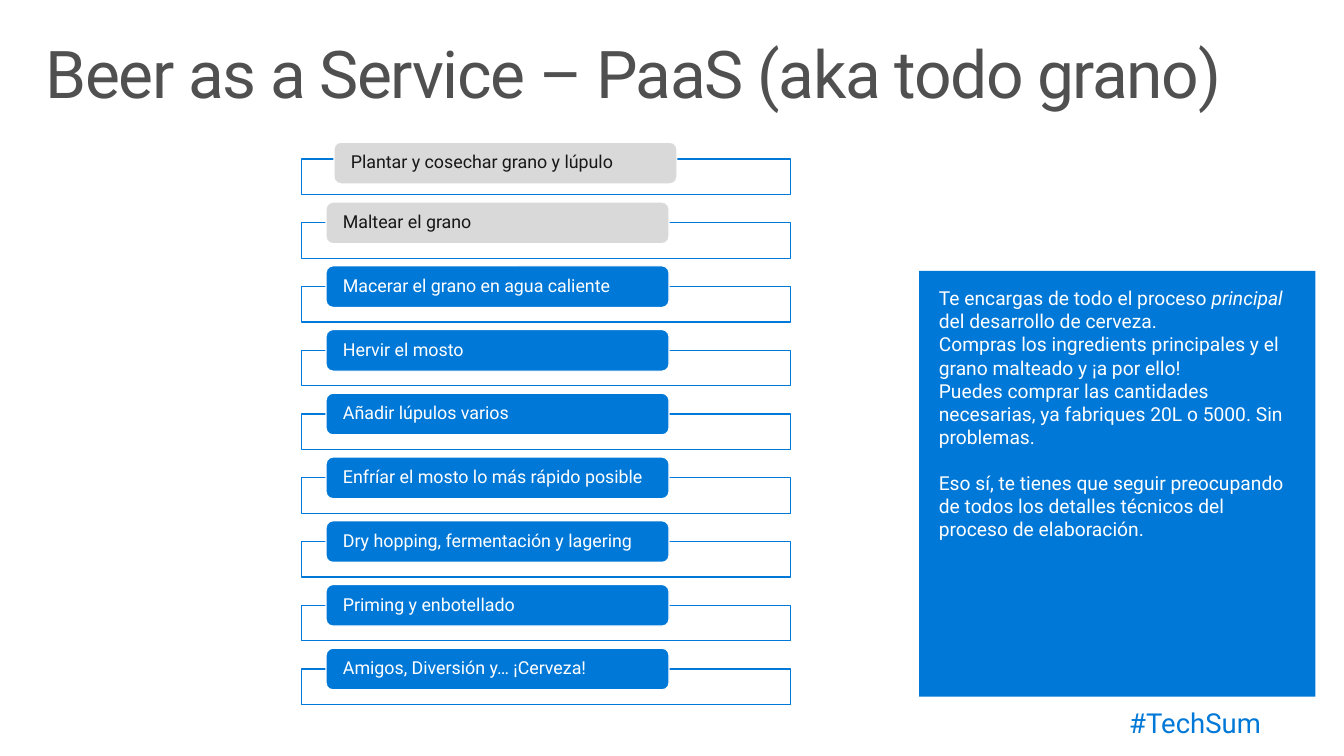
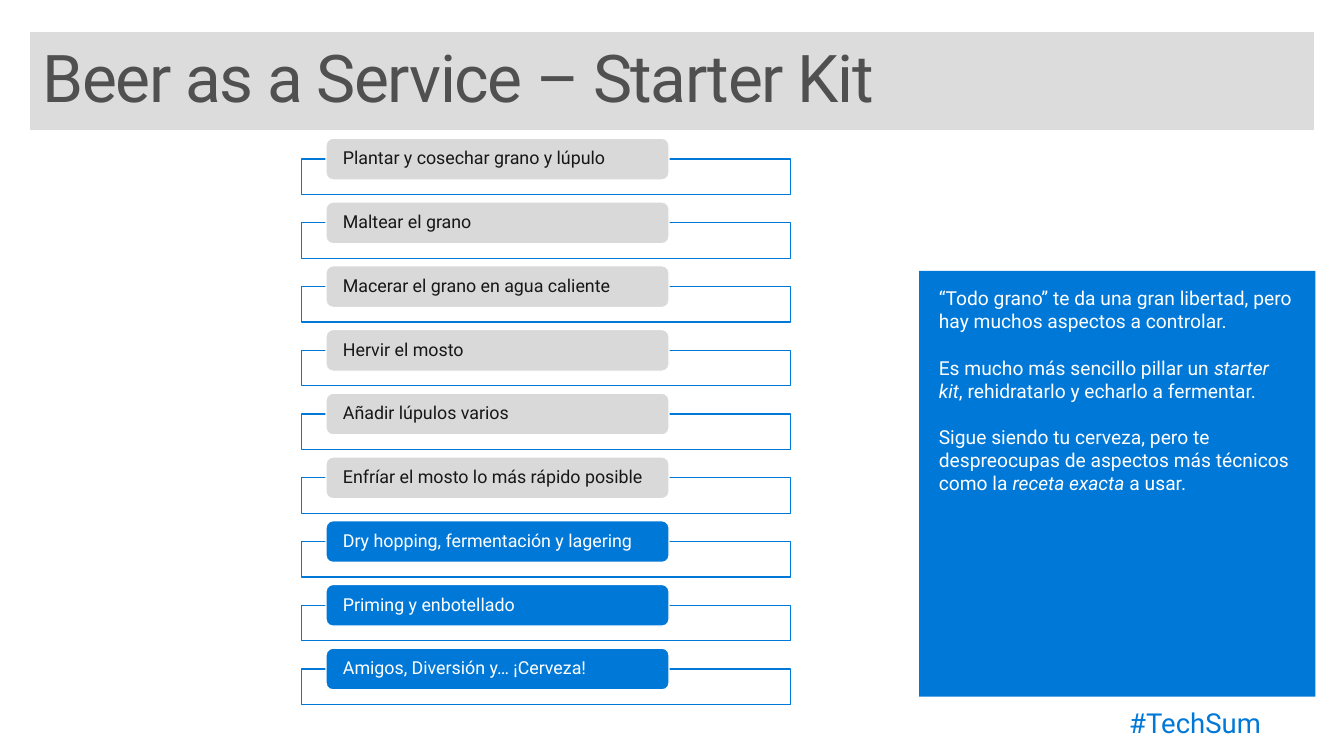
from dataclasses import dataclass

from lxml.etree import SubElement
from pptx import Presentation
from pptx.dml.color import RGBColor as RGB
from pptx.enum.shapes import MSO_SHAPE as SHAPE
from pptx.enum.text import MSO_ANCHOR as ANCHOR, MSO_AUTO_SIZE as AUTO, PP_ALIGN as ALIGN
from pptx.oxml.ns import qn
from pptx.util import Inches, Pt


@dataclass(frozen=True)
class Theme:
    font: str = "Roboto"
    blue: RGB = RGB(0x00, 0x78, 0xD7)
    white: RGB = RGB(0xFF, 0xFF, 0xFF)
    gray: RGB = RGB(0xD9, 0xD9, 0xD9)
    band: RGB = RGB(0xDC, 0xDC, 0xDC)
    title: RGB = RGB(0x50, 0x50, 0x50)
    dark: RGB = RGB(0x17, 0x17, 0x17)
    title_size: int = 48
    footer_size: int = 20
    panel_size: int = 14
    step_size: int = 13
    line: float = 0.85


T = Theme()


def write(sp, text, size, color, insets, anchor=ANCHOR.TOP, align=ALIGN.LEFT,
          line_spacing=0.9, spacing=0):
    tf = sp.text_frame
    tf.word_wrap = True
    tf.auto_size = AUTO.NONE
    tf.vertical_anchor = anchor
    tf.margin_left = tf.margin_right = Inches(insets[0])
    tf.margin_top = tf.margin_bottom = Inches(insets[1])
    paragraphs = [text] if isinstance(text, str) else text
    for i, line in enumerate(paragraphs):
        p = tf.paragraphs[0] if i == 0 else tf.add_paragraph()
        p.alignment = align
        p.line_spacing = line_spacing
        gap = line.startswith("¶")
        p.space_before = Pt(17 if gap else 0)
        for j, part in enumerate(line.removeprefix("¶").split("*")):
            r = p.add_run()
            r.text = part
            r.font.name = T.font
            r.font.size = Pt(size)
            r.font.color.rgb = color
            if j % 2:
                r.font.italic = True
            if spacing:
                r._r.get_or_add_rPr().set("spc", str(spacing))


def add_box(shapes, kind, x, y, w, h, fill, line=None):
    sp = shapes.add_shape(kind, Inches(x), Inches(y), Inches(w), Inches(h))
    sp.shadow.inherit = False
    sp.fill.solid()
    sp.fill.fore_color.rgb = fill
    if line is None:
        sp.line.fill.background()
    else:
        sp.line.color.rgb = line
        sp.line.width = Pt(T.line)
    return sp


STEPS = [
    "Plantar y cosechar grano y lúpulo",
    "Maltear el grano",
    "Macerar el grano en agua caliente",
    "Hervir el mosto",
    "Añadir lúpulos varios",
    "Enfríar el mosto lo más rápido posible",
    "Dry hopping, fermentación y lagering",
    "Priming y enbotellado",
    "Amigos, Diversión y… ¡Cerveza!",
]
STEP_TOP, STEP_PITCH = 1.61, 0.645

SLIDES = [
    dict(
        title="Beer as a Service – PaaS (aka todo grano)",
        banded=False,
        delegated=2,
        first_shift=(0.08, 0.04),
        panel=[
            "Te encargas de todo el proceso *principal* del desarrollo de cerveza.",
            "Compras los ingredients principales y el grano malteado y ¡a por ello!",
            "Puedes comprar las cantidades necesarias, ya fabriques 20L o 5000. Sin problemas.",
            "¶Eso sí, te tienes que seguir preocupando de todos los detalles técnicos "
            "del proceso de elaboración.",
        ],
    ),
    dict(
        title="Beer as a Service – Starter Kit",
        banded=True,
        delegated=6,
        first_shift=(0, 0),
        panel=[
            "“Todo grano” te da una gran libertad, pero hay muchos aspectos a controlar.",
            "¶Es mucho más sencillo pillar un *starter kit*, rehidratarlo y echarlo a fermentar.",
            "¶Sigue siendo tu cerveza, pero te despreocupas de aspectos más técnicos "
            "como la *receta exacta* a usar.",
        ],
    ),
]

prs = Presentation()
prs.slide_width, prs.slide_height = Inches(13.6), Inches(7.65)

for content in SLIDES:
    s = prs.slides.add_slide(prs.slide_layouts[5])

    title = s.shapes.title
    title.left, title.top = Inches(0.3), Inches(0.32)
    title.width, title.height = Inches(13), Inches(1)
    if content["banded"]:
        title.fill.solid()
        title.fill.fore_color.rgb = T.band
        title.line.color.rgb = T.white
        title.line.width = Pt(T.line)
    write(title, content["title"], T.title_size, T.title,
          insets=(0.13, 0) if content["banded"] else (0.16, 0.1),
          anchor=ANCHOR.MIDDLE if content["banded"] else ANCHOR.TOP, spacing=-100)

    footer = s.shapes.add_textbox(Inches(8.97), Inches(7.02), Inches(3.99), Inches(0.63))
    write(footer, "#TechSum", T.footer_size, T.blue, insets=(0.2, 0.16), align=ALIGN.RIGHT)

    steps = s.shapes.add_group_shape().shapes
    for i, step in enumerate(STEPS):
        y = STEP_TOP + i * STEP_PITCH
        frame = add_box(steps, SHAPE.RECTANGLE, 3.05, y, 4.95, 0.36, T.white, T.blue)
        fill_color = next(frame._element.iter(qn("a:srgbClr")))
        SubElement(fill_color, qn("a:alpha"), val="90000")
        dx, dy = content["first_shift"] if i == 0 else (0, 0)
        delegated = i < content["delegated"]
        pill = add_box(steps, SHAPE.ROUNDED_RECTANGLE, 3.3 + dx, y - 0.21 + dy, 3.47, 0.42,
                       T.gray if delegated else T.blue, T.white)
        write(pill, step, T.step_size, T.dark if delegated else T.white,
              insets=(0.15, 0), anchor=ANCHOR.MIDDLE)

    panel = add_box(s.shapes, SHAPE.RECTANGLE, 9.3, 2.74, 4.01, 4.31, T.blue)
    write(panel, content["panel"], T.panel_size, T.white, insets=(0.2, 0.16), line_spacing=1.0)

prs.save("out.pptx")
